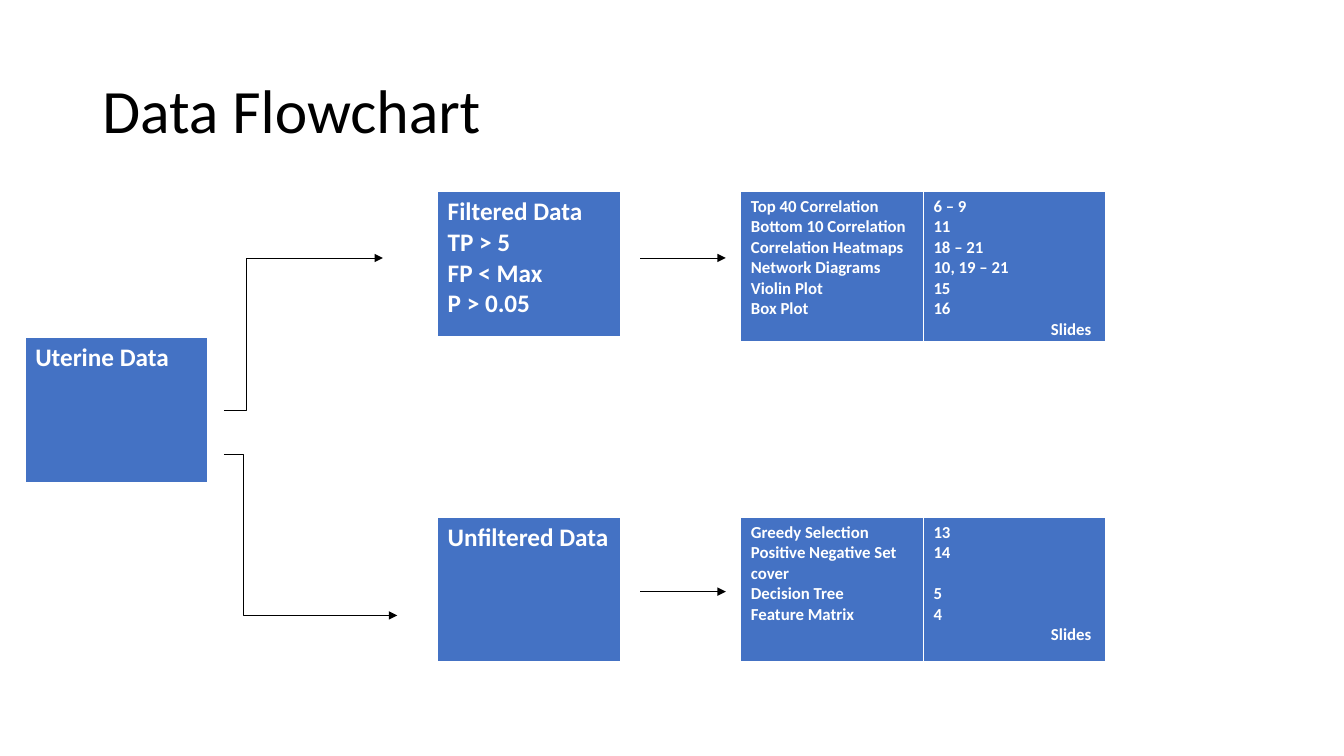
from lxml import etree
from pptx import Presentation
from pptx.dml.color import RGBColor
from pptx.enum.shapes import MSO_CONNECTOR as CONN
from pptx.enum.text import MSO_ANCHOR as ANCHOR, PP_ALIGN as ALIGN
from pptx.oxml.ns import qn
from pptx.util import Pt

BLACK = RGBColor(0x00, 0x00, 0x00)
WHITE = RGBColor(0xFF, 0xFF, 0xFF)
BLUE = RGBColor(0x44, 0x72, 0xC4)
FONT = "Calibri"

# Grid of the flowchart, in points
BOX_W, BOX_H, LIST_H = 130.4, 104.4, 108
SOURCE_X, DATA_X, LIST_X = 18, 312.6, 529.2
SLIDES_X = LIST_X + BOX_W
TOP_Y, MID_Y, LOW_Y = 136.8, 241.2, 369.4
LIST_LINE = 14.65  # height of one line of 12 pt text


def add_run(p, text, size, color, bold=False):
    r = p.add_run()
    r.text = text
    r.font.name = FONT
    r.font.size = Pt(size)
    r.font.bold = bold
    r.font.color.rgb = color
    return r


def add_title(slide, text):
    sp = slide.shapes.add_textbox(Pt(66), Pt(28.8), Pt(828), Pt(104.4))
    tf = sp.text_frame
    tf.word_wrap = True
    tf.vertical_anchor = ANCHOR.MIDDLE
    p = tf.paragraphs[0]
    p.line_spacing = 0.9
    add_run(p, text, 44, BLACK)


def set_borders(cell):
    tc_pr = cell._tc.get_or_add_tcPr()
    for i, (side, width) in enumerate((("L", 1), ("R", 1), ("T", 1), ("B", 3))):
        ln = etree.Element(qn(f"a:ln{side}"), w=str(Pt(width)))
        fill = etree.SubElement(ln, qn("a:solidFill"))
        etree.SubElement(fill, qn("a:srgbClr"), val=str(WHITE))
        tc_pr.insert(i, ln)


def add_box(slide, x, y, lines, size=18, height=BOX_H):
    """One-cell table with one paragraph per line; returns its cell."""
    frame = slide.shapes.add_table(1, 1, Pt(x), Pt(y), Pt(BOX_W), Pt(height))
    frame.table.first_row = frame.table.horz_banding = False
    cell = frame.table.cell(0, 0)
    cell.fill.solid()
    cell.fill.fore_color.rgb = BLUE
    set_borders(cell)
    tf = cell.text_frame
    for i, line in enumerate(lines):
        p = tf.paragraphs[0] if i == 0 else tf.add_paragraph()
        add_run(p, line, size, WHITE, bold=True)
    return cell


def add_slide_numbers(slide, y, numbers, height=BOX_H, gap_before=None):
    """Slide numbers, closed by a right-aligned caption."""
    cell = add_box(slide, SLIDES_X, y, numbers + ["Slides"], 12, height)
    cell.margin_right = Pt(10.5)
    paragraphs = cell.text_frame.paragraphs
    paragraphs[-1].alignment = ALIGN.RIGHT
    if gap_before is not None:
        paragraphs[gap_before].space_before = Pt(LIST_LINE)


def add_arrow(slide, x1, y1, x2, y2, bend=None):
    """Straight arrow, or an elbow turning at the given share of its width."""
    kind = CONN.STRAIGHT if bend is None else CONN.ELBOW
    c = slide.shapes.add_connector(kind, Pt(x1), Pt(y1), Pt(x2), Pt(y2))
    c.line.color.rgb = BLACK
    c.line.width = Pt(0.5)
    sp_pr = c._element.spPr
    etree.SubElement(sp_pr.find(qn("a:ln")), qn("a:tailEnd"), type="triangle")
    etree.SubElement(sp_pr, qn("a:effectLst"))
    if bend is not None:
        guides = sp_pr.find(qn("a:prstGeom")).get_or_add_avLst()
        etree.SubElement(guides, qn("a:gd"), name="adj1",
                         fmla=f"val {round(bend * 100000)}")


def main():
    prs = Presentation()
    prs.slide_width, prs.slide_height = Pt(960), Pt(540)
    slide = prs.slides.add_slide(prs.slide_layouts[6])

    add_title(slide, "Data Flowchart")

    # Data sets
    add_box(slide, SOURCE_X, MID_Y, ["Uterine Data"])
    add_box(slide, DATA_X, LOW_Y, ["Unfiltered Data"])
    add_box(slide, DATA_X, TOP_Y,
            ["Filtered Data", "TP > 5", "FP < Max", "P > 0.05"])

    # Branches from the source data
    add_arrow(slide, 160, 293, 273.6, 184.3, bend=0.14)
    add_arrow(slide, 160, 324.2, 283.8, 439.6, bend=0.11)

    # Analyses of each data set
    add_box(slide, LIST_X, TOP_Y,
            ["Top 40 Correlation", "Bottom 10 Correlation",
             "Correlation Heatmaps", "Network Diagrams", "Violin Plot",
             "Box Plot"], 12, LIST_H)
    add_box(slide, LIST_X, LOW_Y,
            ["Greedy Selection", "Positive Negative Set cover",
             "Decision Tree", "Feature Matrix"], 12)
    for y in (184.3, 422.6):
        add_arrow(slide, 457.2, y, 518.4, y)

    # Slides on which the analyses appear
    add_slide_numbers(slide, TOP_Y,
                      ["6 – 9", "11", "18 – 21", "10, 19 – 21", "15", "16"],
                      LIST_H)
    add_slide_numbers(slide, LOW_Y, ["13", "14", "5", "4"], gap_before=2)

    prs.save("out.pptx")


if __name__ == "__main__":
    main()
